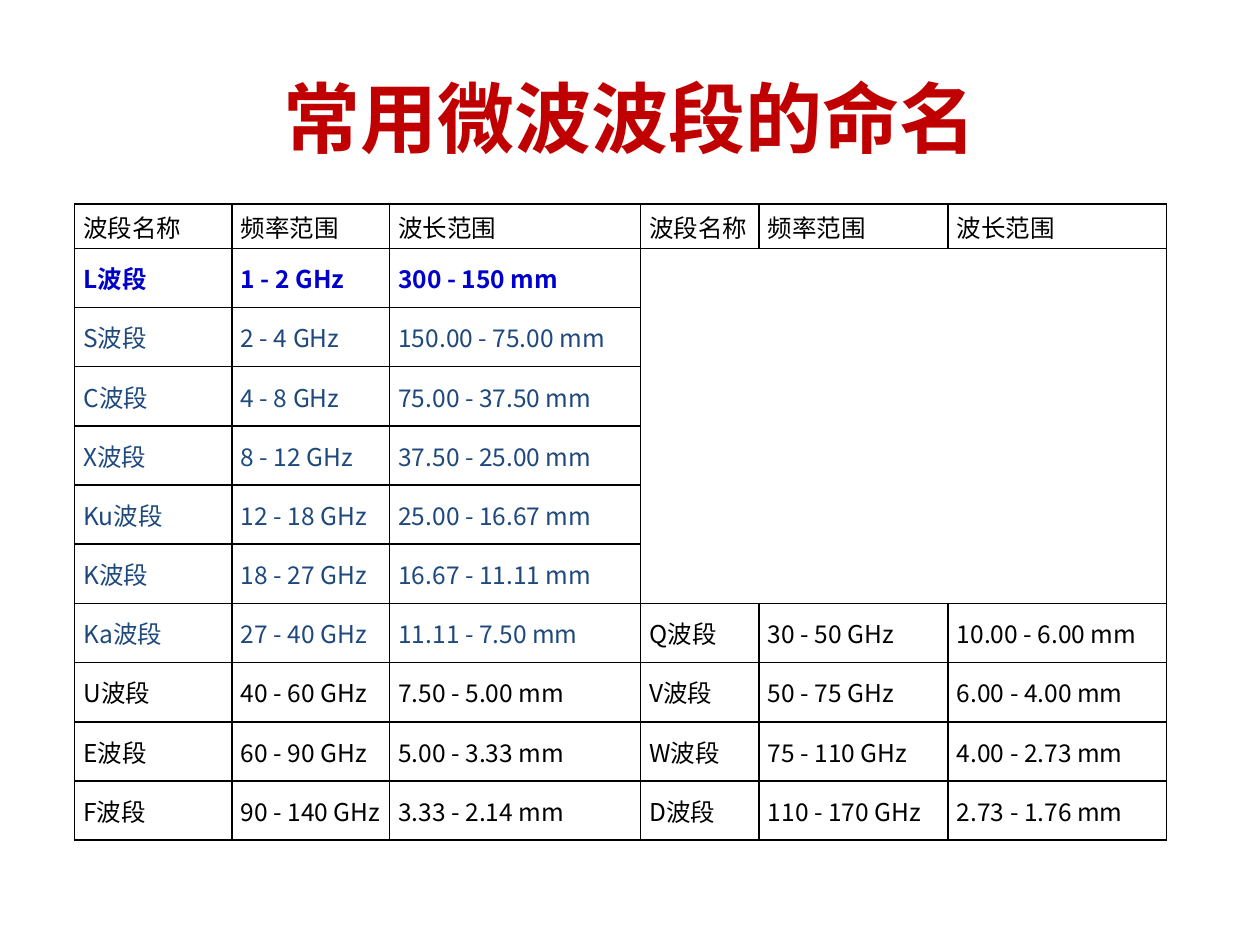
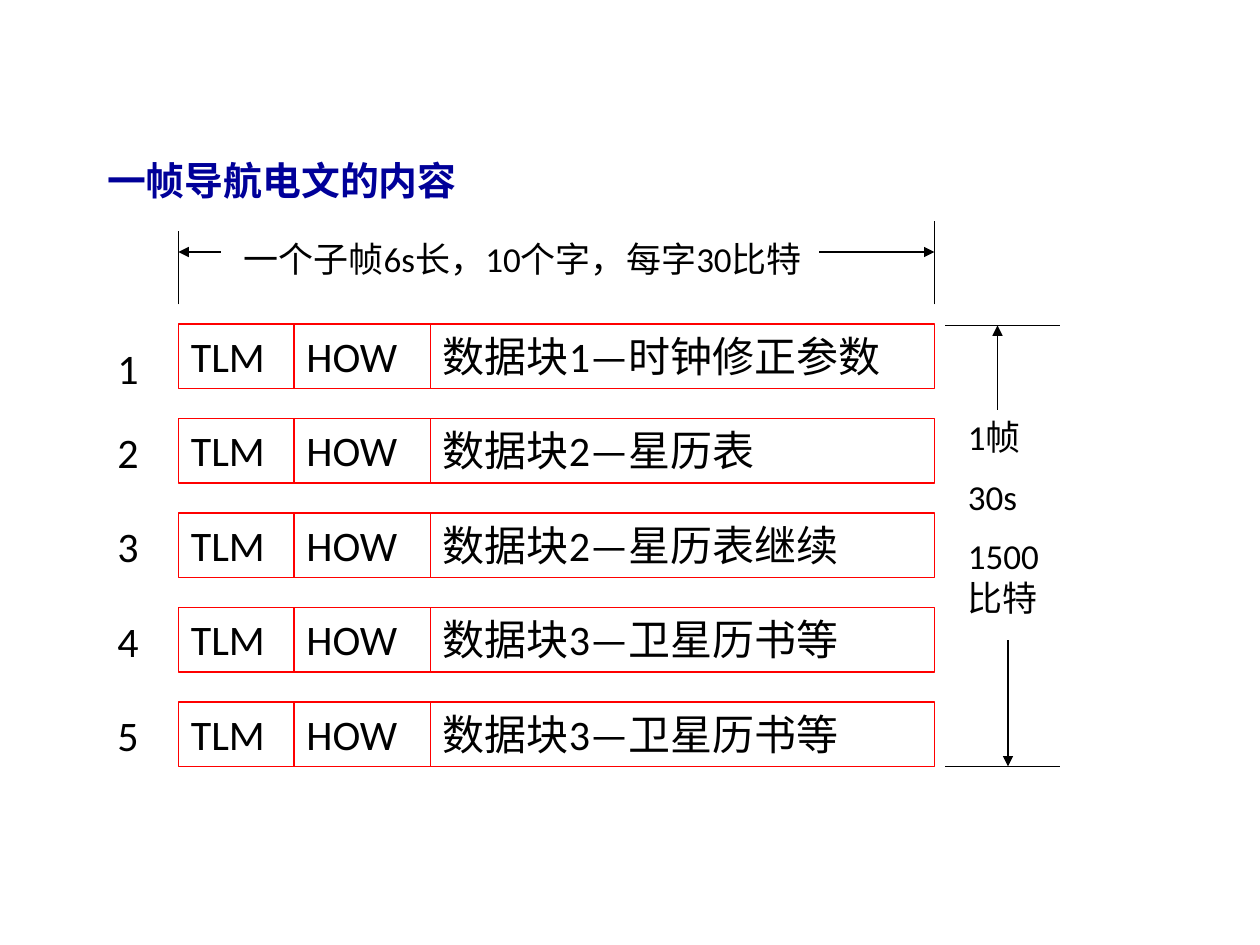
from typing import NamedTuple

from lxml import etree
from pptx import Presentation
from pptx.dml.color import RGBColor
from pptx.enum.shapes import MSO_CONNECTOR, MSO_SHAPE
from pptx.enum.text import MSO_ANCHOR, MSO_AUTO_SIZE, PP_ALIGN
from pptx.oxml.ns import qn
from pptx.util import Inches, Pt

STRAIGHT = MSO_CONNECTOR.STRAIGHT
RECTANGLE = MSO_SHAPE.RECTANGLE
LEFT, CENTER = PP_ALIGN.LEFT, PP_ALIGN.CENTER
TOP, MIDDLE = MSO_ANCHOR.TOP, MSO_ANCHOR.MIDDLE
FIXED_SIZE = MSO_AUTO_SIZE.NONE

WIDTH, HEIGHT = Inches(10), Inches(7.5)
COLUMNS, ROWS = 120, 90
LATIN_FONT, CHINESE_FONT = "Calibri", "Noto Sans CJK SC"
BLACK, WHITE, RED = "000000", "FFFFFF", "FF0000"
TITLE_RED, HEADING_BLUE = "C00000", "000099"
BAND_BLUE, STRONG_BLUE = "1F497D", "0000CC"

BAND_HEADER = ("波段名称", "频率范围", "波长范围")
LEFT_BANDS = (
    ("L波段", "1 - 2 GHz", "300 - 150 mm"),
    ("S波段", "2 - 4 GHz", "150.00 - 75.00 mm"),
    ("C波段", "4 - 8 GHz", "75.00 - 37.50 mm"),
    ("X波段", "8 - 12 GHz", "37.50 - 25.00 mm"),
    ("Ku波段", "12 - 18 GHz", "25.00 - 16.67 mm"),
    ("K波段", "18 - 27 GHz", "16.67 - 11.11 mm"),
    ("Ka波段", "27 - 40 GHz", "11.11 - 7.50 mm"),
    ("U波段", "40 - 60 GHz", "7.50 - 5.00 mm"),
    ("E波段", "60 - 90 GHz", "5.00 - 3.33 mm"),
    ("F波段", "90 - 140 GHz", "3.33 - 2.14 mm"),
)
RIGHT_BANDS = (
    ("Q波段", "30 - 50 GHz", "10.00 - 6.00 mm"),
    ("V波段", "50 - 75 GHz", "6.00 - 4.00 mm"),
    ("W波段", "75 - 110 GHz", "4.00 - 2.73 mm"),
    ("D波段", "110 - 170 GHz", "2.73 - 1.76 mm"),
)
BAND_COLUMNS = (15, 15, 23.9, 11.3, 18, 20.8)
HEADER_ROW, BAND_ROW = 4.2, 5.64
BLUE_BANDS = 7

DATA_BLOCKS = ("1—时钟修正参数", "2—星历表", "2—星历表继续", "3—卫星历书等", "3—卫星历书等")
WORD_COLUMNS = (11, 13, 48)
SUBFRAME_PITCH, SUBFRAME_HEIGHT = 9, 6.15
NUMBER_ROWS = (1, 9, 18, 27, 36)


class Box(NamedTuple):
    """A region measured in grid columns and rows."""
    left: float
    top: float
    width: float
    height: float

    def inner(self, left, top, width, height):
        """Return a region placed from this one's top left corner."""
        return Box(self.left + left, self.top + top, width, height)

    def lengths(self):
        """Return left, top, width and height as slide lengths."""
        return (*point(self.left, self.top), *point(self.width, self.height))


def point(column, row):
    """Turn a grid position into slide lengths."""
    return round(column * WIDTH / COLUMNS), round(row * HEIGHT / ROWS)


def colour(value):
    """Turn a hex string into a colour."""
    return RGBColor.from_string(value)


def style(para, size, value=BLACK, font=LATIN_FONT, bold=False, align=LEFT):
    """Set the font and alignment of a paragraph."""
    para.alignment = align
    para.font.size = Pt(size)
    para.font.bold = bold
    para.font.color.rgb = colour(value)
    para.font.name = font
    properties = para._p.get_or_add_pPr().get_or_add_defRPr()
    etree.SubElement(properties, qn("a:ea"), typeface=CHINESE_FONT)


def fill_placeholder(holder, box, text):
    """Move a placeholder, write its text and return its paragraph."""
    holder.left, holder.top, holder.width, holder.height = box.lengths()
    holder.text_frame.text = text
    holder.text_frame.auto_size = FIXED_SIZE
    return holder.text_frame.paragraphs[0]


def write(shape, text, size):
    """Write wrapped left-aligned lines into a shape."""
    frame = shape.text_frame
    frame.word_wrap = True
    frame.vertical_anchor = TOP
    frame.text = text
    for index, para in enumerate(frame.paragraphs):
        style(para, size)
        if index:
            para.space_before = Pt(size / 2)


def add_label(slide, box, text, size):
    """Add a text box."""
    write(slide.shapes.add_textbox(*box.lengths()), text, size)


def add_word(slide, box, text):
    """Add one red-framed word of a subframe."""
    shape = slide.shapes.add_shape(RECTANGLE, *box.lengths())
    shape.shadow.inherit = False
    shape.fill.background()
    shape.line.color.rgb = colour(RED)
    shape.line.width = Pt(0.75)
    write(shape, text, 24)


def add_line(slide, start, end, arrow=False):
    """Draw a thin black line, with an arrowhead at its end if asked."""
    line = slide.shapes.add_connector(STRAIGHT, *point(*start), *point(*end))
    line.line.color.rgb = colour(BLACK)
    line.line.width = Pt(0.75)
    if arrow:
        etree.SubElement(line.line._get_or_add_ln(), qn("a:tailEnd"), type="triangle")
    etree.SubElement(line._element.spPr, qn("a:effectLst"))


def format_cell(cell):
    """Give a table cell its fill, margins and black borders."""
    cell.vertical_anchor = MIDDLE
    cell.margin_left = cell.margin_right = Inches(0.07)
    cell.margin_top = cell.margin_bottom = Inches(0.03)
    properties = cell._tc.get_or_add_tcPr()
    for side in ("a:lnL", "a:lnR", "a:lnT", "a:lnB"):
        border = etree.SubElement(properties, qn(side), w=str(Pt(1)))
        solid = etree.SubElement(border, qn("a:solidFill"))
        etree.SubElement(solid, qn("a:srgbClr"), val=BLACK)
    cell.fill.solid()
    cell.fill.fore_color.rgb = colour(WHITE)


def add_band_table(slide, box):
    """Add the table of bands, with an open area above the right-hand bands."""
    gap = len(LEFT_BANDS) - len(RIGHT_BANDS)
    right = (("",) * 3,) * gap + RIGHT_BANDS
    rows = [BAND_HEADER * 2] + [a + b for a, b in zip(LEFT_BANDS, right)]
    table = slide.shapes.add_table(len(rows), len(BAND_COLUMNS), *box.lengths()).table
    table.first_row = table.horz_banding = False
    for column, width in zip(table.columns, BAND_COLUMNS):
        column.width = point(width, 0)[0]
    for row_index, texts in enumerate(rows):
        height = BAND_ROW if row_index else HEADER_ROW
        table.rows[row_index].height = point(0, height)[1]
        for column_index, text in enumerate(texts):
            cell = table.cell(row_index, column_index)
            format_cell(cell)
            cell.text = text
            strong = row_index == 1
            blue = column_index < 3 and 1 <= row_index <= BLUE_BANDS
            value = STRONG_BLUE if strong else BAND_BLUE if blue else BLACK
            style(cell.text_frame.paragraphs[0], 14, value, CHINESE_FONT, strong)
    table.cell(1, 3).merge(table.cell(gap, 5))


def add_subframes(slide, box):
    """Add the five numbered subframes, each a row of three words."""
    for index, block in enumerate(DATA_BLOCKS):
        left = 0
        for text, width in zip(("TLM", "HOW", "数据块" + block), WORD_COLUMNS):
            place = box.inner(left, index * SUBFRAME_PITCH, width, SUBFRAME_HEIGHT)
            add_word(slide, place, text)
            left += width
        number = box.inner(-7, NUMBER_ROWS[index] + 0.15, 7, 6)
        add_label(slide, number, str(index + 1), 24)


def add_length_mark(slide, box):
    """Mark the length of a subframe across the top."""
    right, bottom, level = box.left + box.width, box.top + box.height, box.top + 3
    add_line(slide, (box.left, bottom), (box.left, box.top + 1))
    add_line(slide, (right, bottom), (right, box.top))
    add_label(slide, box.inner(5, 1, 63, 5.2), "一个子帧6s长，10个字，每字30比特", 20)
    add_line(slide, (box.left + 4, level), (box.left, level), arrow=True)
    add_line(slide, (right - 11, level), (right, level), arrow=True)


def add_duration_mark(slide, box):
    """Mark the length of a whole frame down the right side."""
    bottom = box.top + box.height
    for level in (box.top, bottom):
        add_line(slide, (box.left, level), (box.left + box.width, level))
    add_label(slide, box.inner(1, 8, 11, 21.2), "1帧\n30s\n1500比特", 20)
    add_line(slide, (box.left + 6, bottom - 12), (box.left + 6, bottom), arrow=True)
    add_line(slide, (box.left + 5, box.top + 8), (box.left + 5, box.top), arrow=True)


def build_band_slide(deck, page):
    """Build the slide that names the microwave bands."""
    slide = deck.slides.add_slide(deck.slide_layouts[5])
    title = fill_placeholder(slide.shapes.title, page.inner(6, 3.6, 108, 15), "常用微波波段的命名")
    style(title, 44, TITLE_RED, CHINESE_FONT, True, CENTER)
    height = HEADER_ROW + BAND_ROW * len(LEFT_BANDS)
    add_band_table(slide, page.inner(7.1, 19.45, sum(BAND_COLUMNS), height))


def build_frame_slide(deck, page):
    """Build the slide that shows one frame of the navigation message."""
    slide = deck.slides.add_slide(deck.slide_layouts[1])
    title = slide.shapes.title._element
    title.getparent().remove(title)
    heading = fill_placeholder(slide.placeholders[1], page.inner(9, 13, 46, 7), "一帧导航电文的内容")
    heading.line_spacing = 1.3
    style(heading, 22.2, HEADING_BLUE, CHINESE_FONT, True)
    properties = heading._p.get_or_add_pPr()
    properties.set("marL", str(Inches(0.38)))
    properties.set("indent", str(-Inches(0.38)))
    properties.insert_element_before(properties.makeelement(qn("a:buNone")), "a:defRPr")
    width = sum(WORD_COLUMNS)
    add_subframes(slide, page.inner(17, 30.85, width, 42.15))
    add_length_mark(slide, page.inner(17, 21, width, 8))
    add_duration_mark(slide, page.inner(90, 31, 11, 42))


def main():
    """Build and save the deck."""
    deck = Presentation()
    deck.slide_width, deck.slide_height = WIDTH, HEIGHT
    page = Box(0, 0, COLUMNS, ROWS)
    build_band_slide(deck, page)
    build_frame_slide(deck, page)
    deck.save("out.pptx")


if __name__ == "__main__":
    main()
